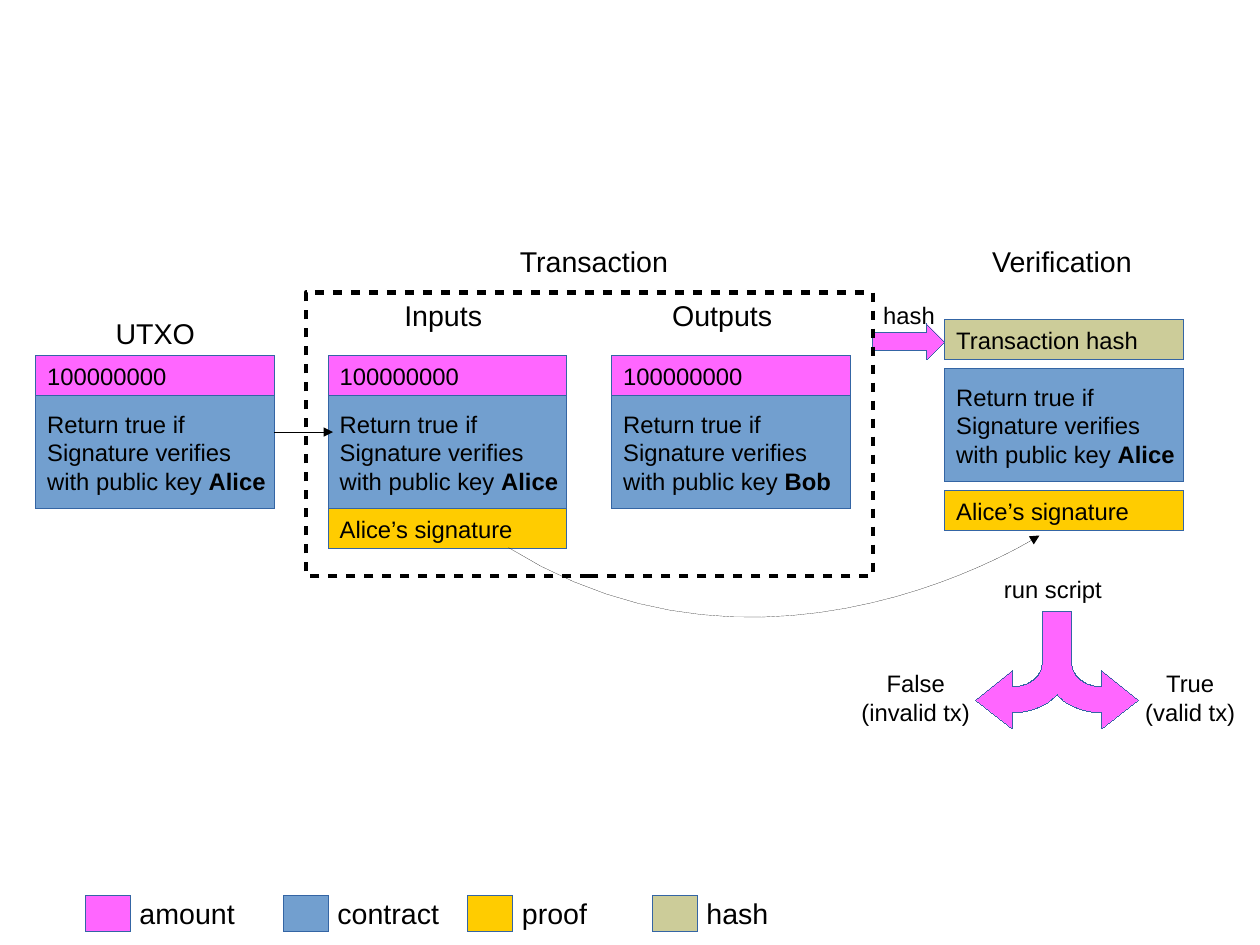
"""Builds a slide on how a signed transaction spends an output and is verified."""
from lxml import etree
from pptx import Presentation, util as u
from pptx.dml.color import RGBColor
from pptx.enum import shapes, text
from pptx.oxml.ns import qn

PINK = RGBColor(0xFF, 0x66, 0xFF)
BLUE = RGBColor(0x72, 0x9F, 0xCF)
GOLD = RGBColor(0xFF, 0xCC, 0x00)
SAND = RGBColor(0xCC, 0xCC, 0x99)
EDGE = RGBColor(0x34, 0x65, 0xA4)
BLACK = RGBColor(0, 0, 0)
WHITE = RGBColor(0xFF, 0xFF, 0xFF)

WIDE, HIGH = 28, 21
COLS = (0.8, 7.3, 13.6, 21)
BOX, BAR, BODY = 5.3, 0.9, 2.5
TOP, GAP = 7.9, 0.2
ROW = 1.2
HAIR = 0.01
SIGN = "Alice’s signature"
COIN = "100000000"
KEYS = ("Alice", "Alice", "Bob")

# Each label: lines, left, top, width, size
LABELS = [
    (["True", "(valid tx)"], 25.1, 14.9, 2.7, 15),
    (["False", "(invalid tx)"], 19, 14.9, 2.7, 15),
    (["run script"], 21.5, 12.5, 3.8, 15),
    (["hash"], 18.3, 6.4, 3.8, 15),
    (["UTXO"], 2.4, 6.8, 2.1, 18),
    (["Inputs"], 8.8, 6.4, 2.1, 18),
    (["Outputs"], 15, 6.4, 2.1, 18),
    (["Transaction"], 11.3, 5.2, 3.8, 18),
    (["Verification"], 21.7, 5.2, 3.8, 18),
]
LEGEND = [("amount", PINK, 1.9), ("contract", BLUE, 6.3),
          ("proof", GOLD, 10.4), ("hash", SAND, 14.5)]

deck = Presentation()
deck.slide_width, deck.slide_height = u.Cm(WIDE), u.Cm(HIGH)
slide = deck.slides.add_slide(deck.slide_layouts[6])
draw = slide.shapes


def paint(item, fill=None, line=None, width=HAIR):
    item.shadow.inherit = False
    if fill is None:
        item.fill.background()
    else:
        item.fill.solid()
        item.fill.fore_color.rgb = fill
    if line is None:
        item.line.fill.background()
    else:
        item.line.color.rgb = line
        item.line.width = u.Pt(width)
    return item


def block(x, y, w, h, fill=None, line=EDGE, width=HAIR, kind="RECTANGLE"):
    spot = [u.Cm(v) for v in (x, y, w, h)]
    item = draw.add_shape(shapes.MSO_SHAPE[kind], *spot)
    return paint(item, fill, line, width)


def write(item, lines, size=15, align=text.PP_ALIGN.LEFT):
    frame = item.text_frame
    frame.word_wrap = False
    frame.vertical_anchor = text.MSO_ANCHOR.MIDDLE
    for i, line in enumerate(lines):
        para = frame.add_paragraph() if i else frame.paragraphs[0]
        para.alignment = align
        runs = [line] if isinstance(line, str) else line
        for j, words in enumerate(runs):
            run = para.add_run()
            run.text = words
            font = run.font
            font.name, font.size = "Arial", u.Pt(size)
            font.color.rgb = BLACK
            if j:
                font.bold = True


def bar(col, y, words, fill):
    write(block(COLS[col], y, BOX, BAR, fill), [words])


def deal(col, y, key):
    lines = ["Return true if", "Signature verifies", ("with public key ", key)]
    write(block(COLS[col], y, BOX, BODY, BLUE), lines)


def bend(a, b, c, d, steps=24):
    """Returns points along a cubic curve."""
    return [tuple((1 - t) ** 3 * p + 3 * (1 - t) ** 2 * t * q
                  + 3 * (1 - t) * t ** 2 * r + t ** 3 * s
                  for p, q, r, s in zip(a, b, c, d))
            for t in (i / steps for i in range(steps + 1))]


def trace(points, close):
    dots = [(u.Cm(x), u.Cm(y)) for x, y in points]
    pen = draw.build_freeform(*dots[0])
    pen.add_line_segments(dots[1:], close=close)
    return pen.convert_to_shape()


def tip(item):
    line = item.line._get_or_add_ln()
    etree.SubElement(line, qn("a:tailEnd"), type="triangle")


for lines, x, y, w, size in LABELS:
    item = block(x, y, w, ROW, WHITE, None)
    write(item, lines, size, text.PP_ALIGN.CENTER)

for name, fill, x in LEGEND:
    write(block(x + 0.95, 19.7, 2.1, ROW, WHITE, None), [name], 18)
    block(x, 19.9, 1, 0.8, fill)

block(19.4, 7.2, 1.6, 0.8, PINK, kind="RIGHT_ARROW")

for col, key in enumerate(KEYS):
    bar(col, TOP, COIN, PINK)
    deal(col, TOP + BAR, key)
bar(1, TOP + BAR + BODY, SIGN, GOLD)

check = 7.1
bar(3, check, "Transaction hash", SAND)
deal(3, check + BAR + GAP, "Alice")
bar(3, check + BAR + BODY + 2 * GAP, SIGN, GOLD)

border = block(6.8, 6.5, 12.6, 6.3, None, BLACK, 2.83)
dash = etree.SubElement(border.line._get_or_add_ln(), qn("a:custDash"))
etree.SubElement(dash, qn("a:ds"), d="200000", sp="200000")

link = draw.add_connector(shapes.MSO_CONNECTOR.STRAIGHT,
                          *[u.Cm(v) for v in (6.1, 9.6, 7.4, 9.6)])
link.line.color.rgb = BLACK
link.line.width = u.Pt(HAIR)
etree.SubElement(link._element.spPr, qn("a:effectLst"))
tip(link)

end = (23.1, 11.9)
tip(paint(trace(bend((11.3, 12.17), (17.1, 15.8), end, end), False), None, BLACK))

AXIS = 23.49
half = [(23.82, 13.59)]
half += bend((23.82, 14.73), (23.82, 15.04), (24.13, 15.26), (24.48, 15.26))
half += [(24.48, 14.9), (25.3, 15.56), (24.48, 16.2)]
half += bend((24.48, 15.84), (24.08, 15.84), (23.72, 15.69), (AXIS, 15.44))
fork = half + [(2 * AXIS - x, y) for x, y in half[-2::-1]]
paint(trace(fork, True), PINK, EDGE)

deck.save("out.pptx")
